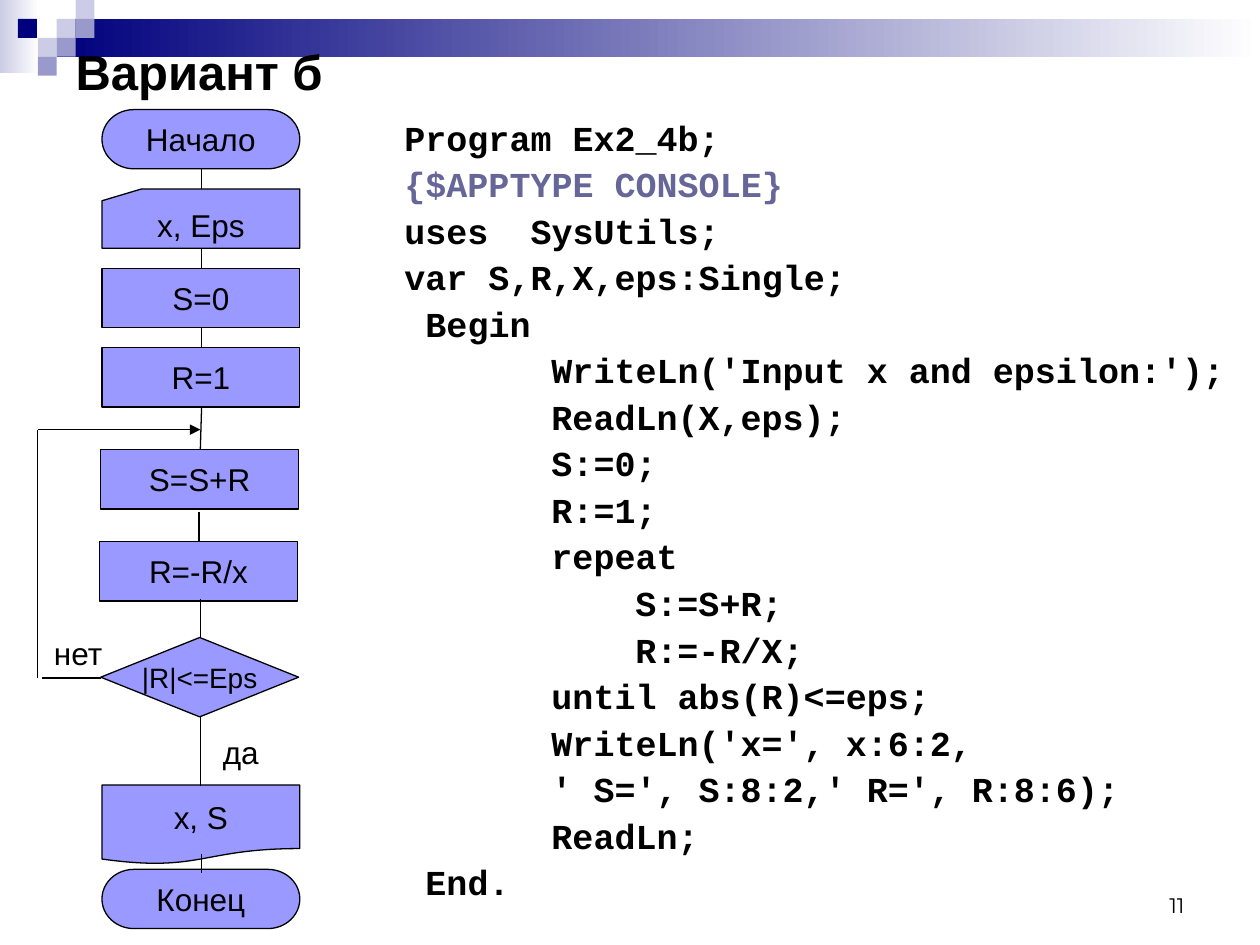
import pptx
import pptx.util
import pptx.dml.color
import pptx.enum.shapes
import pptx.enum.text
import pptx.oxml
import pptx.oxml.ns

Inches = pptx.util.Inches
Pt = pptx.util.Pt
SHAPE = pptx.enum.shapes.MSO_SHAPE
ALIGN = pptx.enum.text.PP_ALIGN
ANCHOR = pptx.enum.text.MSO_ANCHOR
AUTO_SIZE = pptx.enum.text.MSO_AUTO_SIZE

CODE = """Program Ex2_4b;
{$APPTYPE CONSOLE}
uses  SysUtils;
var S,R,X,eps:Single;
 Begin
       WriteLn('Input x and epsilon:');
       ReadLn(X,eps);
       S:=0;
       R:=1;
       repeat
           S:=S+R;
           R:=-R/X;
       until abs(R)<=eps;
       WriteLn('x=', x:6:2,
       ' S=', S:8:2,' R=', R:8:6);
       ReadLn;
 End."""


def color(value):
    return pptx.dml.color.RGBColor.from_string(value)


def add_element(parent, tag, attributes=""):
    namespace = pptx.oxml.ns.nsdecls("a")
    parent.append(pptx.oxml.parse_xml(f"<a:{tag} {namespace} {attributes}/>"))


def place(shape, left, top, width, height):
    shape.left, shape.top = Inches(left), Inches(top)
    shape.width, shape.height = Inches(width), Inches(height)


def format_paragraph(paragraph, size, font="Arial", fill="000000", bold=False, align=ALIGN.LEFT):
    paragraph.alignment = align
    for run in paragraph.runs:
        run.font.size = Pt(size)
        run.font.name = font
        run.font.bold = bold
        run.font.color.rgb = color(fill)


def add_shape(slide, kind, left, top, width, height, fill):
    shape = slide.shapes.add_shape(kind, Inches(left), Inches(top), Inches(width), Inches(height))
    shape.shadow.inherit = False
    shape.line.fill.background()
    if isinstance(fill, str):
        shape.fill.solid()
        shape.fill.fore_color.rgb = color(fill)
    else:
        shape.fill.gradient()
        shape.fill.gradient_angle = 0
        for stop, position, value in zip(shape.fill.gradient_stops, (0, 1), fill):
            stop.position = position
            stop.color.rgb = color(value)
    return shape


def add_line(slide, start_x, start_y, end_x, end_y, arrow=False):
    line = slide.shapes.add_connector(
        pptx.enum.shapes.MSO_CONNECTOR.STRAIGHT,
        Inches(start_x), Inches(start_y), Inches(end_x), Inches(end_y))
    line.line.color.rgb = color("000000")
    line.line.width = Pt(0.74)
    if arrow:
        add_element(line.line._get_or_add_ln(), "tailEnd", 'type="triangle"')
    add_element(line._element.spPr, "effectLst")


def add_label(slide, text, left, top, width, height, size, font="Arial", align=ALIGN.LEFT, anchor=ANCHOR.TOP):
    label = slide.shapes.add_textbox(Inches(left), Inches(top), Inches(width), Inches(height))
    frame = label.text_frame
    frame.word_wrap = True
    frame.vertical_anchor = anchor
    frame.text = text
    format_paragraph(frame.paragraphs[0], size, font, align=align)


def add_header_band(slide, left, top, width):
    cell = 0.15
    add_shape(slide, SHAPE.RECTANGLE, left, top, 0.31, 0.58, ("CCCCE6", "FFFFFF"))
    add_shape(slide, SHAPE.RECTANGLE, left + 3 * cell, top + cell, width - 3 * cell, 2 * cell,
              ("00007D", "FFFFFF"))
    squares = [(3, 1, "CCCCE6"), (4, 0, "CCCCE6"), (4, 1, "9999CC"), (2, 2, "CCCCE6"),
               (0.95, 1, "00007D"), (3, 2, "9999CC"), (2, 3, "9999CC")]
    for column, row, fill in squares:
        add_shape(slide, SHAPE.RECTANGLE, left + column * cell, top + row * cell, cell, cell, fill)


def add_title(slide, text, left, top, width, height):
    title = slide.shapes.title
    place(title, left, top, width, height)
    frame = title.text_frame
    frame.text = text
    frame.auto_size = AUTO_SIZE.NONE
    frame.vertical_anchor = ANCHOR.MIDDLE
    format_paragraph(frame.paragraphs[0], 28, bold=True)


def add_code(slide, code, left, top, width, height):
    body = slide.placeholders[1]
    place(body, left, top, width, height)
    frame = body.text_frame
    frame.auto_size = AUTO_SIZE.NONE
    character = 20 * 0.6 / 72
    hanging = 0.38
    for index, line in enumerate(code.splitlines()):
        paragraph = frame.add_paragraph() if index else frame.paragraphs[0]
        paragraph.text = line.lstrip()
        paragraph.line_spacing = 0.9
        paragraph.space_before = Pt(5)
        depth = len(line) - len(line.lstrip())
        properties = paragraph._p.get_or_add_pPr()
        properties.set("marL", str(Inches(hanging + depth * character)))
        properties.set("indent", str(Inches(-hanging)))
        add_element(properties, "buNone")
        fill = "666699" if line.startswith("{") else "000000"
        format_paragraph(paragraph, 20, "Courier New", fill, bold=True)


def add_flowchart(slide, left, top):
    low, high = 0.47, 0.63
    steps = [
        ("Начало", SHAPE.FLOWCHART_TERMINATOR, 0.51, 0, low, 18),
        ("x, Eps", SHAPE.FLOWCHART_CARD, 0.51, 0.63, low, 18),
        ("S=0", SHAPE.RECTANGLE, 0.51, 1.26, low, 18),
        ("R=1", SHAPE.RECTANGLE, 0.51, 1.89, low, 18),
        ("S=S+R", SHAPE.RECTANGLE, 0.5, 2.7, low, 18),
        ("R=-R/x", SHAPE.RECTANGLE, 0.49, 3.43, low, 18),
        ("|R|<=Eps", SHAPE.DIAMOND, 0.5, 4.19, high, 16),
        ("x, S", SHAPE.FLOWCHART_DOCUMENT, 0.51, 5.36, high, 18),
        ("Конец", SHAPE.FLOWCHART_TERMINATOR, 0.51, 6.03, low, 18),
    ]
    links_behind = [(1.3, 0.47, 1.3, 0.71), (1.3, 1.1, 1.3, 1.34)]
    links_in_front = [
        (1.3, 1.73, 1.3, 1.89), (1.29, 2.7, 1.3, 2.36), (1.28, 3.19, 1.28, 3.42),
        (1.29, 3.88, 1.29, 4.19), (1.29, 4.82, 1.29, 5.37), (1.3, 5.91, 1.3, 6.06),
        (0.03, 4.51, 0.5, 4.51), (0, 4.51, 0, 2.54), (0, 2.54, 1.29, 2.54, True),
    ]

    def add_links(links):
        for start_x, start_y, end_x, end_y, *arrow in links:
            add_line(slide, left + start_x, top + start_y, left + end_x, top + end_y, *arrow)

    add_links(links_behind)
    for text, kind, x, y, height, size in steps:
        step = add_shape(slide, kind, left + x, top + y, 1.57, height, "9999FF")
        step.line.color.rgb = color("000000")
        step.line.width = Pt(0.74)
        frame = step.text_frame
        frame.word_wrap = False
        frame.vertical_anchor = ANCHOR.MIDDLE
        frame.text = text
        format_paragraph(frame.paragraphs[0], size, align=ALIGN.CENTER)
    add_links(links_in_front)
    add_label(slide, "да", left + 1.37, top + 4.9, 0.49, 0.4, 18)
    add_label(slide, "нет", left + 0.03, top + 4.11, 0.71, 0.4, 18)


presentation = pptx.Presentation()
presentation.slide_width, presentation.slide_height = Inches(10), Inches(7.5)
slide = presentation.slides.add_slide(presentation.slide_layouts[1])
add_header_band(slide, 0, 0, 10)
for placeholder in slide.placeholders:
    slide.shapes._spTree.append(placeholder._element)
add_title(slide, "Вариант б", 0.5, 0.28, 9, 0.56)
add_code(slide, CODE, 3.11, 0.91, 6.89, 6.59)
add_flowchart(slide, 0.3, 0.87)
add_label(slide, "11", 7.17, 6.83, 2.33, 0.5, 12, "Montserrat", ALIGN.RIGHT, ANCHOR.BOTTOM)
presentation.save("out.pptx")
